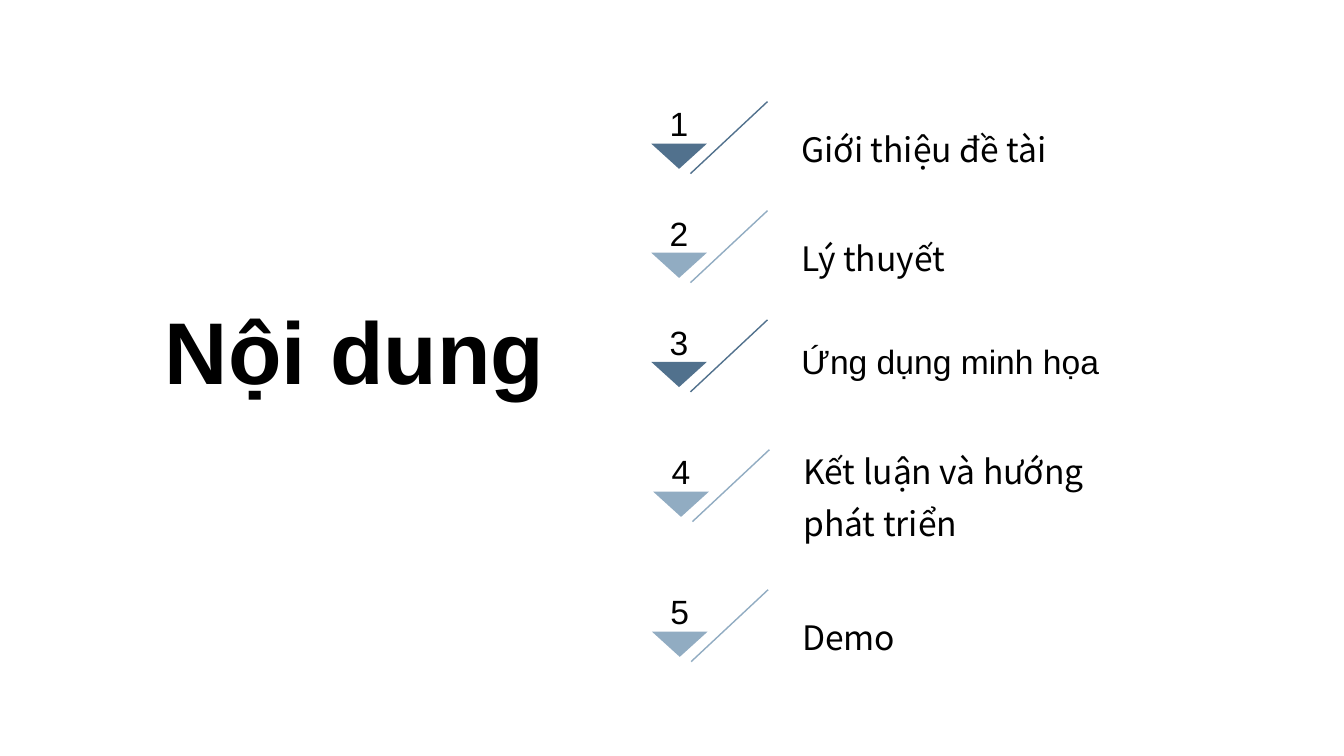
from pptx import Presentation
from pptx.dml.color import RGBColor
from pptx.enum.shapes import MSO_CONNECTOR, MSO_SHAPE
from pptx.enum.text import MSO_ANCHOR, MSO_AUTO_SIZE, PP_ALIGN
from pptx.oxml.ns import qn
from pptx.util import Pt
from lxml import etree

STRAIGHT = MSO_CONNECTOR.STRAIGHT
DOWN_TRIANGLE = MSO_SHAPE.FLOWCHART_MERGE
MIDDLE, BOTTOM = MSO_ANCHOR.MIDDLE, MSO_ANCHOR.BOTTOM
LEFT, CENTER = PP_ALIGN.LEFT, PP_ALIGN.CENTER
GROW = MSO_AUTO_SIZE.SHAPE_TO_FIT_TEXT

BLACK = RGBColor(0x00, 0x00, 0x00)
DARK_BLUE = RGBColor(0x51, 0x71, 0x8D)
LIGHT_BLUE = RGBColor(0x91, 0xAC, 0xC2)

SANS = "Arial"
NOTO = "Noto Sans CJK SC"

FRAME_FORMAT = {
    "margin_left": 0, "margin_right": 0, "margin_top": 0, "margin_bottom": 0,
    "word_wrap": True, "auto_size": GROW,
}
TITLE_FONT = {"name": SANS, "size": Pt(62.6), "bold": True}
SANS_FONT = {"name": SANS, "size": Pt(24)}
NOTO_FONT = {"name": NOTO, "size": Pt(24)}

LABEL_CENTER = 29.4
AGENDA = [
    (463.8, 72.6, DARK_BLUE, "Giới thiệu đề tài", NOTO_FONT, 34, 1.3),
    (463.8, 150.5, LIGHT_BLUE, "Lý thuyết", NOTO_FONT, 34, 1.3),
    (463.8, 228.5, DARK_BLUE, "Ứng dụng minh họa", SANS_FONT, 29, None),
    (465.2, 321.2, LIGHT_BLUE, "Kết luận và hướng phát triển", NOTO_FONT, 72, 1.3),
    (464.3, 421.2, LIGHT_BLUE, "Demo", NOTO_FONT, 34, 1.3),
]


def apply_format(target, values):
    for name, value in values.items():
        setattr(target, name, value)


def write_text(shape, text, font, alignment, anchor, line_spacing=None):
    frame = shape.text_frame
    apply_format(frame, {**FRAME_FORMAT, "vertical_anchor": anchor})
    paragraph = frame.paragraphs[0]
    apply_format(paragraph, {"alignment": alignment, "line_spacing": line_spacing})
    run = paragraph.add_run()
    run.text = text
    apply_format(run.font, font)
    run.font.color.rgb = BLACK


def add_title(slide, text):
    title = slide.shapes.title
    apply_format(title, {
        "left": Pt(110.9), "top": Pt(211.7), "width": Pt(285.1), "height": Pt(75.6),
    })
    write_text(title, text, TITLE_FONT, CENTER, MIDDLE)


def add_text(slide, left, top, width, height, *text_format):
    box = slide.shapes.add_textbox(Pt(left), Pt(top), Pt(width), Pt(height))
    write_text(box, *text_format)


def add_slash(slide, left, top, color):
    slash = slide.shapes.add_connector(
        STRAIGHT, Pt(left + 55), Pt(top), Pt(left), Pt(top + 51.4))
    slash.line.color.rgb = color
    slash.line.width = Pt(1)
    etree.SubElement(slash.element.spPr, qn("a:effectLst"))


def add_triangle(slide, left, top, color):
    triangle = slide.shapes.add_shape(
        DOWN_TRIANGLE, Pt(left), Pt(top), Pt(39.7), Pt(18))
    triangle.shadow.inherit = False
    triangle.fill.solid()
    triangle.fill.fore_color.rgb = color
    triangle.line.fill.background()


def add_agenda_item(slide, number, left, top, color, label, font, height, spacing):
    add_text(slide, left + 108.6, top + LABEL_CENTER - height / 2, 229, height,
             label, font, LEFT, MIDDLE, spacing)
    add_slash(slide, left + 29.4, top, color)
    add_triangle(slide, left + 1.4, top + 30, color)
    add_text(slide, left, top + 1, 42.5, 29, str(number), SANS_FONT, CENTER, BOTTOM)


def main():
    presentation = Presentation()
    presentation.slide_width = Pt(960)
    presentation.slide_height = Pt(540)
    slide = presentation.slides.add_slide(presentation.slide_layouts[5])
    add_title(slide, "Nội dung")
    for number, item in enumerate(AGENDA, start=1):
        add_agenda_item(slide, number, *item)
    presentation.save("out.pptx")


if __name__ == "__main__":
    main()
